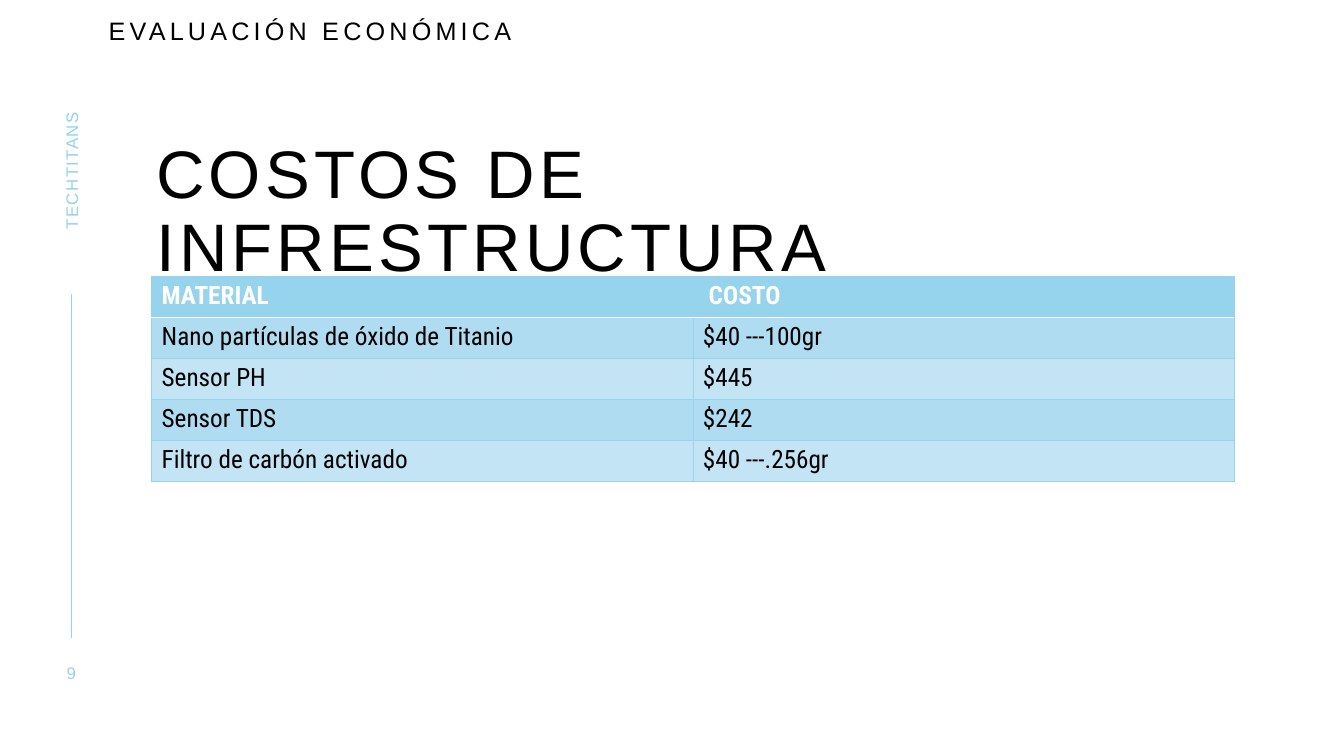
from pptx import Presentation
from pptx.dml.color import RGBColor
from pptx.enum.shapes import MSO_CONNECTOR
from pptx.enum.text import MSO_ANCHOR, MSO_AUTO_SIZE, PP_ALIGN
from pptx.oxml.ns import qn
from pptx.util import Cm, Pt
from lxml.etree import SubElement

SKY = RGBColor(0x96, 0xD3, 0xED)
BAND_DARK = RGBColor(0xB0, 0xDC, 0xF1)
BAND_LIGHT = RGBColor(0xC3, 0xE4, 0xF4)
WHITE = RGBColor(0xFF, 0xFF, 0xFF)
BLACK = RGBColor(0x00, 0x00, 0x00)

COSTS = [
    ("MATERIAL", " COSTO"),
    ("Nano partículas de óxido de Titanio", "$40 ---100gr"),
    ("Sensor PH", "$445"),
    ("Sensor TDS", "$242"),
    ("Filtro de carbón activado", "$40 ---.256gr"),
]


def style_text(shape, text, size, color, spacing, align=PP_ALIGN.LEFT,
               anchor=MSO_ANCHOR.TOP, line_spacing=1.0):
    frame = shape.text_frame
    frame.text = text
    frame.word_wrap = True
    frame.auto_size = MSO_AUTO_SIZE.NONE
    frame.vertical_anchor = anchor
    frame.margin_left = frame.margin_right = 0
    frame.margin_top = frame.margin_bottom = 0
    paragraph = frame.paragraphs[0]
    paragraph.alignment = align
    paragraph.line_spacing = line_spacing
    run = paragraph.runs[0]
    run.font.name = "Arial"
    run.font.size = Pt(size)
    run.font.color.rgb = color
    run.font._element.set("spc", str(spacing * 100))


def add_headings(slide, left, top):
    section = slide.shapes.add_textbox(left, top, Cm(10.67), Cm(0.97))
    style_text(section, "EVALUACIÓN ECONÓMICA", 18, BLACK, 3, line_spacing=0.9)
    title = slide.shapes.title
    title.left, title.top = left + Cm(1.2), top + Cm(3.07)
    title.width, title.height = Cm(27.94), Cm(2.54)
    style_text(title, "COSTOS DE INFRESTRUCTURA", 48, BLACK, 3, line_spacing=0.9)


def add_sidebar(slide, center, top, height):
    team_width, team_height = Cm(4.95), Cm(0.53)
    team = slide.shapes.add_textbox(
        center - team_width // 2, top + (team_width - team_height) // 2,
        team_width, team_height)
    team.rotation = 270
    style_text(team, "TECHTITANS", 12, SKY, 1, PP_ALIGN.CENTER, MSO_ANCHOR.MIDDLE)

    rule = slide.shapes.add_connector(
        MSO_CONNECTOR.STRAIGHT, center, top + Cm(5.59), center, top + Cm(14.25))
    rule.line.color.rgb = SKY
    rule.line.width = Pt(1)
    SubElement(rule._element.spPr, qn("a:effectLst"))

    number_width, number_height = Cm(1.27), Cm(0.51)
    number = slide.shapes.add_textbox(
        center - number_width // 2, top + height - number_height,
        number_width, number_height)
    style_text(number, "9", 12, SKY, 2, PP_ALIGN.CENTER, MSO_ANCHOR.MIDDLE)


def set_border(cell, side, color, width):
    line = SubElement(cell._tc.get_or_add_tcPr(), qn(f"a:ln{side}"),
                      w=str(Pt(width)))
    fill = SubElement(line, qn("a:solidFill"))
    SubElement(fill, qn("a:srgbClr"), val=str(color))


def style_cell(cell, text, row):
    header = row == 0
    set_border(cell, "L", SKY, 0.5)
    set_border(cell, "R", SKY, 0.5)
    set_border(cell, "T", *((WHITE, 1) if row == 1 else (SKY, 0.5)))
    set_border(cell, "B", *((WHITE, 1) if header else (SKY, 0.5)))
    cell.fill.solid()
    cell.fill.fore_color.rgb = (
        SKY if header else BAND_DARK if row % 2 else BAND_LIGHT)
    cell.text_frame.text = text
    font = cell.text_frame.paragraphs[0].runs[0].font
    font.name = "Roboto Condensed"
    font.size = Pt(18)
    font.bold = header
    font.color.rgb = WHITE if header else BLACK


def add_cost_table(slide, left, top, width, height):
    table = slide.shapes.add_table(
        len(COSTS), len(COSTS[0]), left, top, width, height).table
    table.first_row = False
    table.horz_banding = False
    for row, texts in enumerate(COSTS):
        for column, text in enumerate(texts):
            style_cell(table.cell(row, column), text, row)


def main():
    presentation = Presentation()
    presentation.slide_width = Cm(33.87)
    presentation.slide_height = Cm(19.05)
    slide = presentation.slides.add_slide(presentation.slide_layouts[5])
    add_sidebar(slide, Cm(1.8), Cm(1.83), Cm(15.39))
    add_headings(slide, Cm(2.74), Cm(0.48))
    add_cost_table(slide, Cm(3.82), Cm(6.97), Cm(27.28), Cm(5.16))
    presentation.save("out.pptx")


if __name__ == "__main__":
    main()
